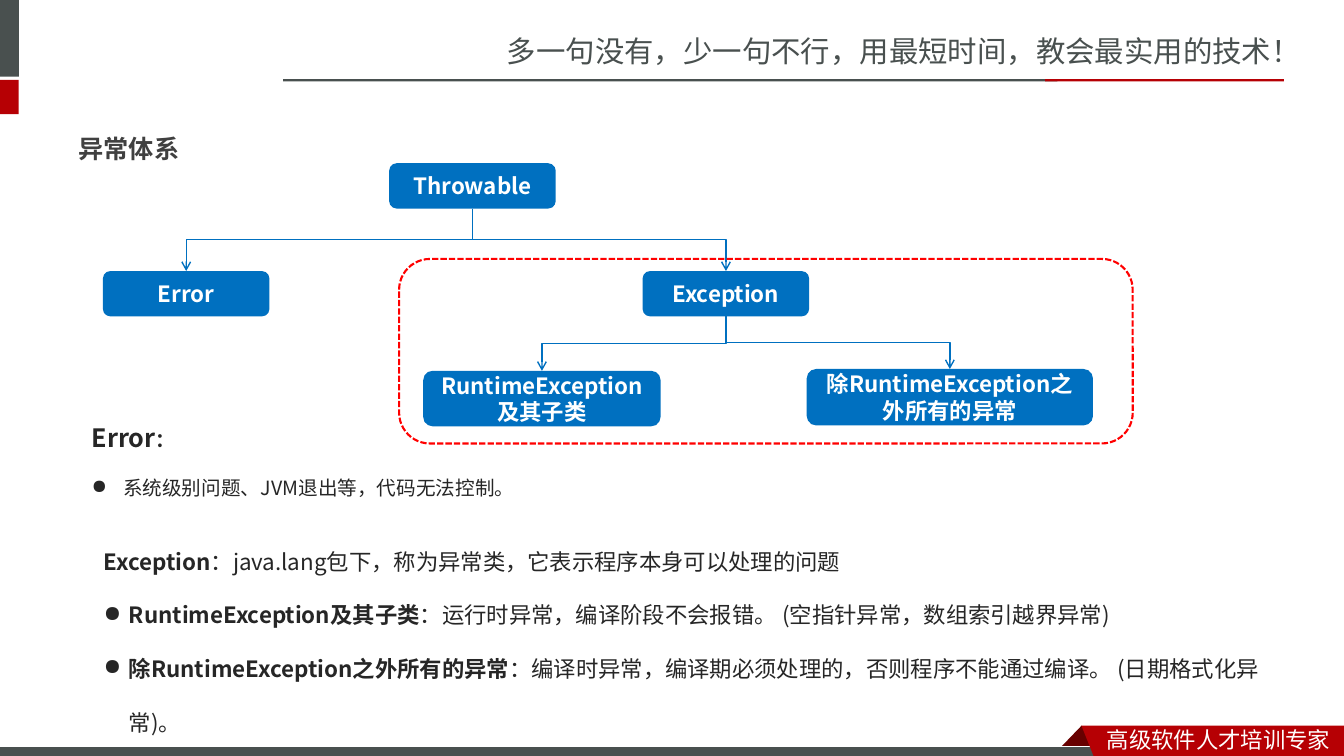
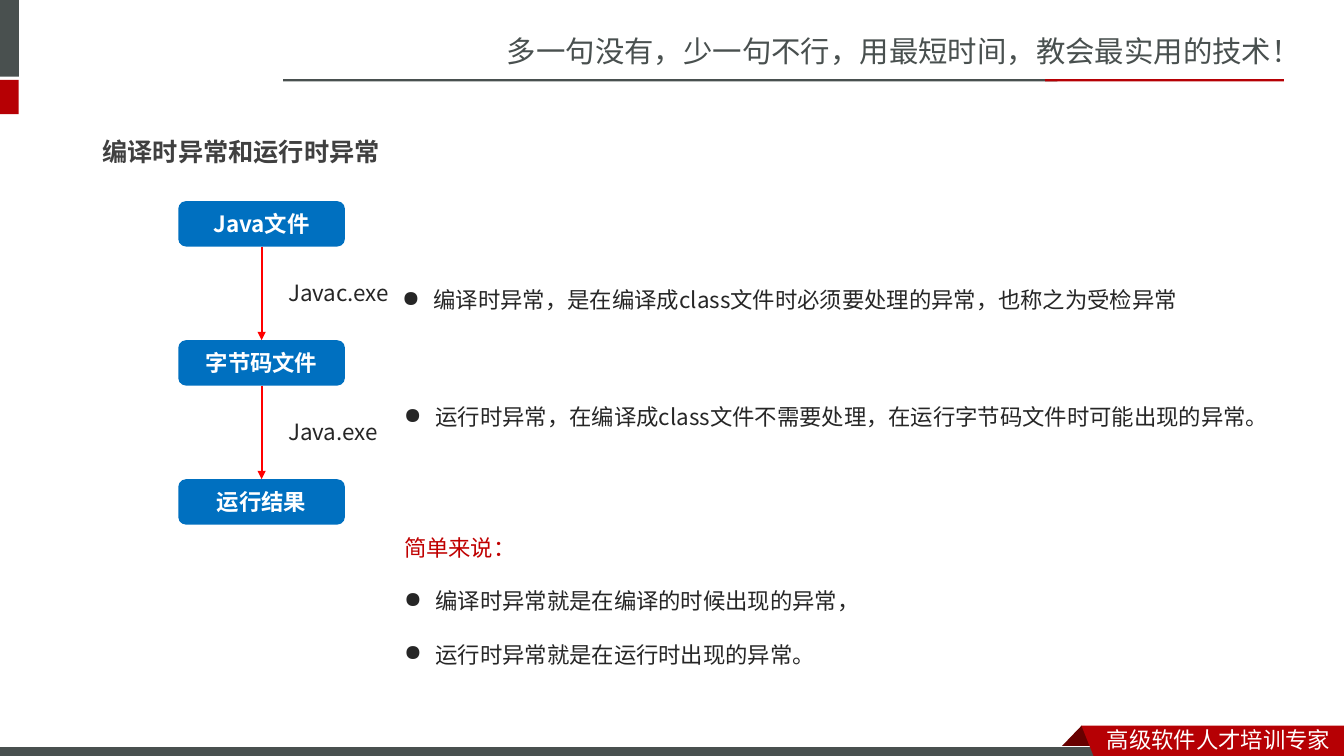
from lxml.etree import SubElement as Sub
from pptx import Presentation
from pptx.dml.color import RGBColor as RGB
from pptx.enum.dml import MSO_LINE as Dash
from pptx.enum.lang import MSO_LANGUAGE_ID as Lang
from pptx.enum.shapes import MSO_CONNECTOR as Link, MSO_SHAPE as Kind
from pptx.enum.text import MSO_ANCHOR as Anchor, MSO_AUTO_SIZE as Auto, PP_ALIGN as Align
from pptx.oxml.ns import qn
from pptx.util import Pt

GREY = RGB(0x49, 0x50, 0x4F)
RED = RGB(0xB6, 0x00, 0x04)
DARK = RGB(0x68, 0x00, 0x00)
BLUE = RGB(0x00, 0x70, 0xC0)
ALERT = RGB(0xFF, 0x00, 0x00)
NOTE = RGB(0xC0, 0x00, 0x00)
HEAD = RGB(0x40, 0x40, 0x40)
INK = RGB(0x26, 0x26, 0x26)
WHITE = RGB(0xFF, 0xFF, 0xFF)
SANS, BRAND = "Noto Sans CJK JP", "Noto Sans CJK SC"
WIDE, TALL = 960, 540
NODE = (119, 32.4)


def pts(*nums):
    return [Pt(n) for n in nums]


def style(para, size, color, bold=False, face=SANS):
    font = para.font
    font.size, font.bold, font.name = Pt(size), bold, face
    font.color.rgb = color
    font.language_id = Lang.SIMPLIFIED_CHINESE
    Sub(font._element, qn("a:ea"), typeface=face)


def bullet(para, indent):
    props = para._p.get_or_add_pPr()
    props.set("marL", str(Pt(indent)))
    props.set("indent", str(-Pt(indent)))
    mark = Sub(props, qn("a:buChar"), char="●")
    fonts = props.find(qn("a:defRPr"))
    if fonts is not None:
        fonts.addprevious(mark)


def text(slide, box, lines, size=16, color=INK, bold=False, face=SANS,
         pitch=None, before=None, indent=22.5, wrap=True):
    frame = slide.shapes.add_textbox(*pts(*box)).text_frame
    frame.word_wrap, frame.auto_size = wrap, Auto.SHAPE_TO_FIT_TEXT
    for i, (dot, runs) in enumerate(lines):
        para = frame.paragraphs[0] if i == 0 else frame.add_paragraph()
        for words, heavy in runs:
            run = para.add_run()
            run.text = words
            if heavy:
                run.font.bold = True
        if pitch:
            para.line_spacing = pitch
        if before:
            para.space_before = Pt(before)
        style(para, size, color, bold, face)
        if dot:
            bullet(para, indent)
    return frame


def plain(words, dot=False):
    return dot, [(words, False)]


def paint(shape, fill, edge=None):
    shape.shadow.inherit = False
    shape.fill.solid()
    shape.fill.fore_color.rgb = fill
    if edge:
        shape.line.color.rgb = edge
        shape.line.width = Pt(0.75)
    else:
        shape.line.fill.background()


def block(slide, box, fill, edge=None):
    paint(slide.shapes.add_shape(Kind.RECTANGLE, *pts(*box)), fill, edge)


def outline(slide, spots, fill):
    first, *rest = [tuple(pts(*spot)) for spot in spots]
    pen = slide.shapes.build_freeform(*first)
    pen.add_line_segments(rest, close=True)
    paint(pen.convert_to_shape(), fill)


def node(slide, mid, top, words, size=NODE):
    wide, tall = size
    shape = slide.shapes.add_shape(Kind.ROUNDED_RECTANGLE,
                                   *pts(mid - wide / 2, top, wide, tall))
    paint(shape, BLUE)
    frame = shape.text_frame
    frame.word_wrap, frame.vertical_anchor = True, Anchor.MIDDLE
    para = frame.paragraphs[0]
    para.text, para.alignment = words, Align.CENTER
    style(para, 16, WHITE, True)
    return shape


def join(slide, start, end, color, width, tip, bent=False):
    x1, x2 = (s.left + s.width // 2 for s in (start, end))
    y1, y2 = start.top + start.height, end.top
    line = slide.shapes.add_connector(Link.ELBOW if bent else Link.STRAIGHT, x1, y1, x2, y2)
    line.begin_connect(start, 2)
    line.end_connect(end, 0)
    if bent:
        span, drop = abs(x2 - x1), y2 - y1
        line.left = (x1 + x2 - drop) // 2
        line.top = (y1 + y2 - span) // 2
        line.width, line.height = drop, span
        form = line._element.spPr.xfrm
        form.rot = 270 if x2 > x1 else 90
        form.flipH = x2 > x1
    line.line.color.rgb = color
    line.line.width = Pt(width)
    Sub(line.line._get_or_add_ln(), qn("a:tailEnd"), type=tip)
    Sub(line._element.spPr, qn("a:effectLst"))


def banner(slide, right):
    text(slide, (right - 605, 20.2, 605.5, 33.8),
         [plain("多一句没有，少一句不行，用最短时间，教会最实用的技术！")],
         21, GREY, face=BRAND)
    block(slide, (-4, 0, 17.5, 54.7), GREY)
    block(slide, (-4, 57, 17.3, 24.5), RED)
    block(slide, (right - 757.7, 56.6, 553, 1.6), GREY)
    block(slide, (right - 213.4, 56.6, 170.6, 1.6), RED)


def footer(slide, right, base):
    left, top = right - 187.5, base - 21.6
    outline(slide, [(left, top), (left + 16, base - 5), (left - 16, base - 5)], DARK)
    block(slide, (-1, base - 6.5, 792, 8.6), GREY, WHITE)
    outline(slide, [(left, top), (right, top), (right, base + 2.9), (left + 9.5, base + 2.2)], RED)
    text(slide, (left + 11, top - 3.6, 176.5, 26.6),
         [plain("高级软件人才培训专家")], 16, WHITE, face=BRAND)


def page(deck, left, top, wide, title):
    slide = deck.slides.add_slide(deck.slide_layouts[6])
    banner(slide, WIDE)
    footer(slide, WIDE, TALL)
    text(slide, (left, top, wide, 36.7), [plain(title)], 18, HEAD, True, pitch=1.5)
    return slide


def tree(slide, left, top):
    root = node(slide, left + 264, top, "Throwable")
    error = node(slide, left + 59.5, top + 77, "Error")
    fault = node(slide, left + 445, top + 77, "Exception")
    live = node(slide, left + 313.6, top + 148.3, "RuntimeException及其子类", (169.5, 39.6))
    other = node(slide, left + 605, top + 147, "除RuntimeException之外所有的异常", (204.5, 40.3))
    for start, end in ((root, fault), (root, error), (fault, other), (fault, live)):
        join(slide, start, end, BLUE, 1, "arrow", True)
    zone = slide.shapes.add_shape(Kind.ROUNDED_RECTANGLE,
                                  *pts(left + 211.6, top + 68.4, 524, 131.8))
    zone.shadow.inherit = False
    zone.fill.background()
    zone.line.color.rgb, zone.line.width = ALERT, Pt(1.5)
    zone.line.dash_style = Dash.SQUARE_DOT


def terms(slide, left, top):
    frame = text(slide, (left, top, 320.5, 80.6), [
        (False, [("Error", True), ("：", True)]),
        plain("系统级别问题、JVM退出等，代码无法控制。", True)], 14, pitch=2)
    frame.paragraphs[0].runs[0].font.size = Pt(18)
    text(slide, (left + 8.7, top + 92, 864, 118.8), [
        (False, [("Exception", True),
                 ("：java.lang包下，称为异常类，它表示程序本身可以处理的问题", False)]),
        (True, [("RuntimeException及其子类", True),
                ("：运行时异常，编译阶段不会报错。 (空指针异常，数组索引越界异常)", False)]),
        (True, [("除RuntimeException之外所有的异常", True),
                ("：编译时异常，编译期必须处理的，否则程序不能通过编译。 (日期格式化异常)。", False)]),
    ], pitch=2, indent=18)


def flow(slide, left, top, step):
    names = ("Java文件", "字节码文件", "运行结果")
    nodes = [node(slide, left + NODE[0] / 2, top + i * step, name)
             for i, name in enumerate(names)]
    for start, end in zip(nodes, nodes[1:]):
        join(slide, start, end, ALERT, 1.5, "triangle")
    for i, (tool, wide) in enumerate((("Javac.exe", 87), ("Java.exe", 79))):
        text(slide, (left + 71.3, top + 52 + i * step, wide, 26.6), [plain(tool)], wrap=False)


def notes(slide, left, top):
    tips = ((-1.4, 0, 639, "编译时异常，是在编译成class文件时必须要处理的异常，也称之为受检异常"),
            (0, 83.5, 626.5, "运行时异常，在编译成class文件不需要处理，在运行字节码文件时可能出现的异常。"))
    for x, y, wide, words in tips:
        text(slide, (left + x, top + y, wide, 33.8), [plain(words, True)], pitch=1.5, before=4.8)
    frame = text(slide, (left, top + 167, 514, 118.8), [
        plain("简单来说："),
        plain("编译时异常就是在编译的时候出现的异常，", True),
        plain("运行时异常就是在运行时出现的异常。", True)], pitch=2)
    frame.paragraphs[0].font.color.rgb = NOTE


def main():
    deck = Presentation()
    deck.slide_width, deck.slide_height = pts(WIDE, TALL)
    slide = page(deck, 49, 80.6, 97.2, "异常体系")
    terms(slide, 58.3, 276.5)
    tree(slide, 73.5, 116.6)
    slide = page(deck, 66.2, 82.8, 311, "编译时异常和运行时异常")
    flow(slide, 127.4, 143.7, 99.3)
    notes(slide, 281.5, 191.5)
    deck.save("out.pptx")


if __name__ == "__main__":
    main()
